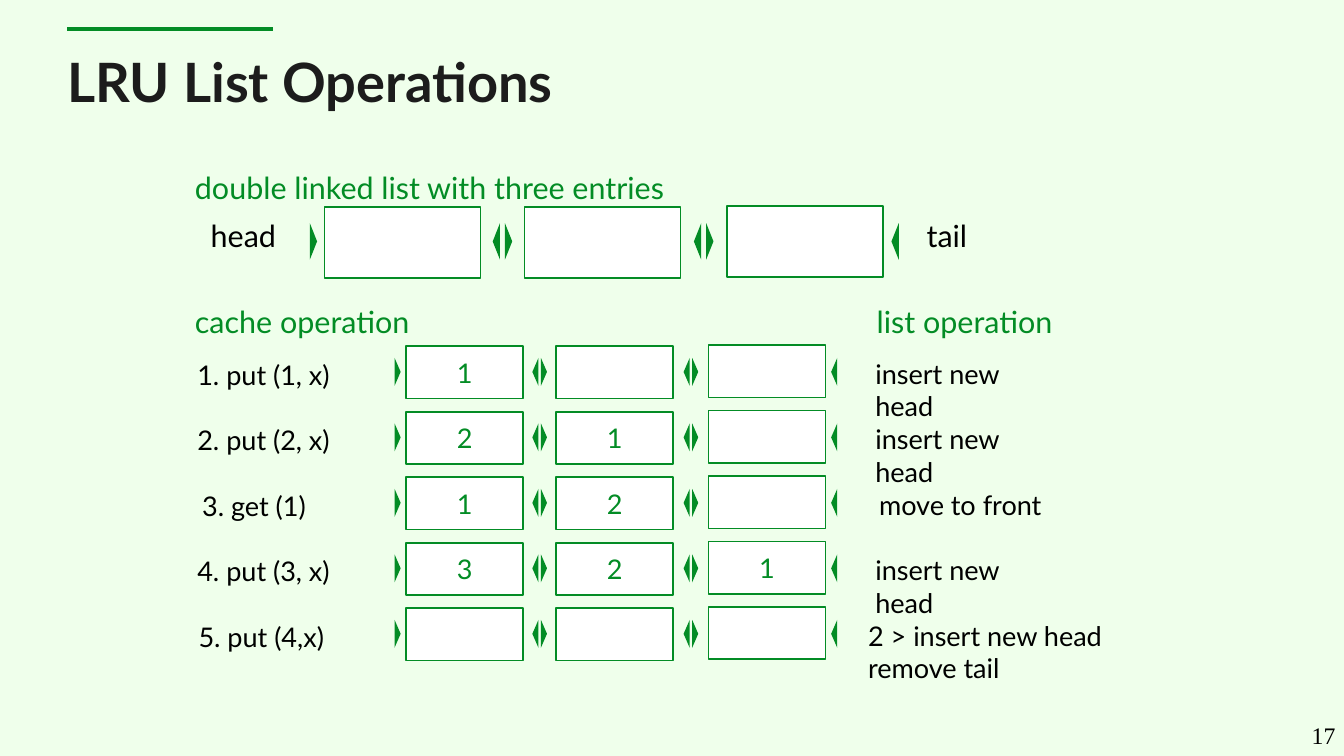
from pptx import Presentation
from pptx.dml.color import RGBColor
from pptx.enum.shapes import MSO_CONNECTOR, MSO_SHAPE
from pptx.enum.text import MSO_ANCHOR, PP_ALIGN
from pptx.oxml.ns import qn
from pptx.util import Inches, Pt
from lxml import etree

RECT = MSO_SHAPE.RECTANGLE
TRIANGLE = MSO_SHAPE.ISOSCELES_TRIANGLE
STRAIGHT = MSO_CONNECTOR.STRAIGHT
TOP, MIDDLE = MSO_ANCHOR.TOP, MSO_ANCHOR.MIDDLE
LEFT, CENTER, RIGHT = PP_ALIGN.LEFT, PP_ALIGN.CENTER, PP_ALIGN.RIGHT
hex_color = RGBColor.from_string

GREEN, BLACK, DARK, WHITE, MINT = "038C25", "000000", "1C1C1C", "FFFFFF", "EFFFEB"

prs = Presentation()
prs.slide_width, prs.slide_height = Inches(11.02), Inches(6.2)
s = prs.slides.add_slide(prs.slide_layouts[6])
s.background.fill.solid()
s.background.fill.fore_color.rgb = hex_color(MINT)


def write(text, box=None, sp=None, size=16, color=BLACK, font="Lato", bold=False,
          align=LEFT, anchor=TOP, inset=True):
    """Write text into sp, or into a new text box at box (left, top, width, height)."""
    if sp is None:
        sp = s.shapes.add_textbox(*map(Inches, box))
    tf = sp.text_frame
    tf.word_wrap = True
    tf.vertical_anchor = anchor
    tf.margin_left = tf.margin_right = Inches(0.1 if inset else 0)
    tf.margin_top = tf.margin_bottom = Inches(0.05 if inset else 0)
    for i, line in enumerate(text.split("\n")):
        p = tf.add_paragraph() if i else tf.paragraphs[0]
        p.alignment = align
        r = p.add_run()
        r.text = line
        r.font.size, r.font.name, r.font.bold = Pt(size), font, bold
        r.font.color.rgb = hex_color(color)


def draw_list(values, lefts, top, cell_w, cell_h, links, link_y, link_w, link_h):
    """Draw list cells and link triangles; links pairs each centre x with its rotation."""
    group = s.shapes.add_group_shape().shapes
    for value, left, rise in zip(values, lefts, (0, 0, 0.01)):
        sp = group.add_shape(RECT, Inches(left), Inches(top - rise),
                             Inches(cell_w), Inches(cell_h))
        sp.shadow.inherit = False
        sp.fill.solid()
        sp.fill.fore_color.rgb = hex_color(WHITE)
        sp.line.color.rgb = hex_color(GREEN)
        sp.line.width = Pt(1)
        if value:
            write(value, sp=sp, color=GREEN, align=CENTER, anchor=MIDDLE)
    for x, rotation in links:
        sp = group.add_shape(TRIANGLE, Inches(x - link_w / 2), Inches(link_y - link_h / 2),
                             Inches(link_w), Inches(link_h))
        sp.rotation = rotation
        sp.shadow.inherit = False
        sp.fill.solid()
        sp.fill.fore_color.rgb = hex_color(GREEN)
        sp.line.fill.background()


# Title
rule = s.shapes.add_connector(STRAIGHT, Inches(0.55), Inches(0.24), Inches(2.24), Inches(0.24))
rule.line.color.rgb = hex_color(GREEN)
rule.line.width = Pt(2.25)
etree.SubElement(rule._element.spPr, qn("a:effectLst"))
write("LRU List Operations", (0.55, 0.4, 9.92, 0.89), size=32, color=DARK, bold=True, inset=False)

# Empty list with its head and tail
rotations = (90, 270, 90, 270, 90, 270)
draw_list(("", "", ""), (2.66, 4.3, 5.96), 1.7, 1.28, 0.58,
          list(zip((2.57, 4.07, 4.17, 5.72, 5.82, 7.34), rotations)), 1.98, 0.3, 0.06)
write("head", (1.63, 1.73, 0.9, 0.4), size=18)
write("tail", (7.5, 1.73, 0.7, 0.4), size=18)

# Cache operations, the list after each one, and the matching list operation
row_links = list(zip((3.26, 4.39, 4.46, 5.63, 5.7, 6.84), rotations))
rows = [
    ("1. put (1, x)", 1.52, ("1", "", ""), "insert new head", 7.08, 1.5),
    ("2. put (2, x)", 1.52, ("2", "1", ""), "insert new head", 7.08, 1.5),
    ("3. get (1)", 1.56, ("1", "2", ""), "move to front", 7.11, 1.8),
    ("4. put (3, x)", 1.52, ("3", "2", "1"), "insert new head", 7.08, 1.5),
    ("5. put (4,x)", 1.53, ("", "", ""), "2 > insert new head\nremove tail", 7.02, 2.4),
]
for i, (cache_op, cache_x, values, list_op, list_x, list_w) in enumerate(rows):
    top = 2.84 + i * 0.537
    draw_list(values, (3.33, 4.56, 5.81), top, 0.96, 0.43,
              row_links, top + 0.21, 0.23, 0.05)
    write(cache_op, (cache_x, top + 0.05, 1.6, 0.37))
    write(list_op, (list_x, top + 0.04, list_w, 0.63))

# Headings and slide number
for heading, left, top, width in (("cache operation", 1.5, 2.44, 2.05),
                                  ("list operation", 7.09, 2.44, 2.05),
                                  ("double linked list with three entries", 1.5, 1.34, 4.41)):
    write(heading, (left, top, width, 0.4), size=18, color=GREEN)
write("17", (8.38, 5.91, 2.57, 0.27), size=14, font="Times New Roman", align=RIGHT, inset=False)

prs.save("out.pptx")
